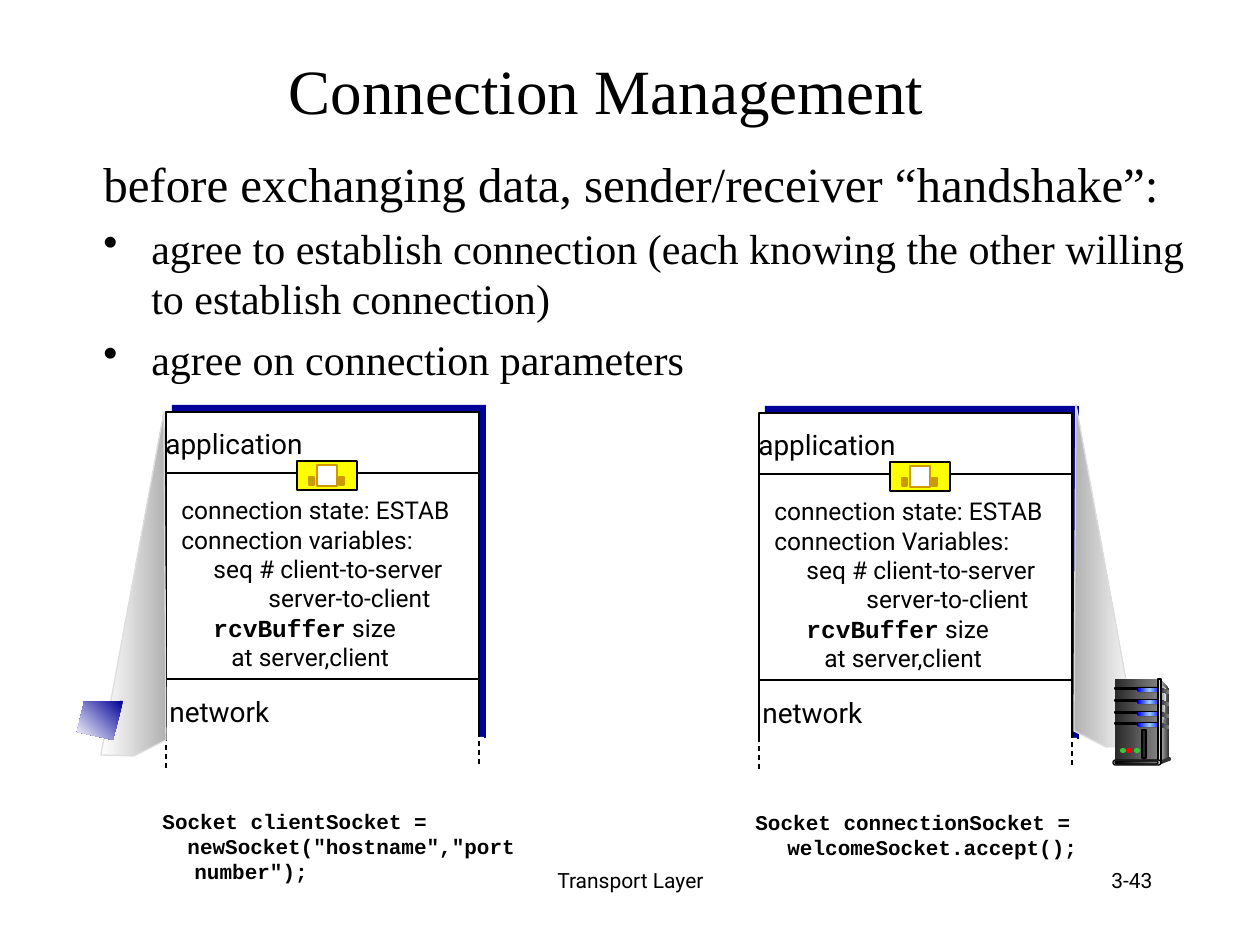
from pptx import Presentation
from pptx.dml.color import RGBColor
from pptx.enum.dml import MSO_LINE
from pptx.enum.shapes import MSO_CONNECTOR, MSO_SHAPE
from pptx.enum.text import MSO_ANCHOR, MSO_AUTO_SIZE, PP_ALIGN
from pptx.oxml import parse_xml
from pptx.oxml.ns import nsdecls, qn
from pptx.util import Pt
from lxml.etree import SubElement

SCALE = 914400 / 126
THEME = {
    "black": "000000", "white": "FFFFFF", "navy": "000099", "yellow": "FFFF00",
    "gold": "CC9900", "edge": "DDDDDD", "dark": "333333", "slot": "292929",
    "green": "33CC33", "red": "FF0000",
    "beam_left": (0, "FFFFFF", "B2B2B2"), "beam_right": (0, "B2B2B2", "FFFFFF"),
    "client": (135, "000099", "FFFFFF"), "side": (0, "DDDDDD", "333333"),
    "metal": (0, "292929", "808080"), "shine": (0, "808080", "F8F8F8"),
    "light": (0, "0000FF", "99CCFF", "0000FF"),
    "pillar": (0, "333333", "DDDDDD", "333333"), "base": (0, "000000", "808080"),
    "serif": "Times New Roman", "sans": "Roboto", "mono": "Courier New",
    "title": 36, "lead": 28, "bullet": 24, "layer": 16, "state": 14, "small": 12,
}
RECT, ROUND, OVAL = MSO_SHAPE.RECTANGLE, MSO_SHAPE.ROUNDED_RECTANGLE, MSO_SHAPE.OVAL

TITLE = "Connection Management"
LEAD = "before exchanging data, sender/receiver “handshake”:"
BULLETS = [
    "agree to establish connection (each knowing the other willing to establish connection)",
    "agree on connection parameters",
]
HOSTS = [
    {"origin": (166, 412), "variables": "connection variables:", "reply_margin": 87,
     "beam": [(101, 755), (164, 412), (166, 740), (134, 756)], "beam_fill": "beam_left",
     "code": [("Socket clientSocket =", 32, -32),
              ('newSocket("hostname","port number");', 32, -7)]},
    {"origin": (759, 413), "variables": "connection Variables:", "reply_margin": 92,
     "beam": [(1138, 746), (1076, 404), (1074, 731), (1106, 747)], "beam_fill": "beam_right",
     "code": [("Socket connectionSocket = welcomeSocket.accept();", 32, -32)]},
]
SOCKET_PARTS = [
    ((131, 49, 60, 29), "yellow", "black"), ((151, 53, 20, 21), "white", "gold"),
    ((173, 65, 5, 8), "gold", "gold"), ((143, 65, 5, 8), "gold", "gold"),
]
CLIENT = [(123, 701), (84, 702), (77, 732), (113, 740)]
SERVER_SIDE = [(1160, 679), (1169, 689), (1169, 757), (1158, 761)]
SERVER_SHINE = [(1160, 684), (1167, 690), (1163, 720), (1160, 758)]
SERVER_FOOT = [(1159, 761), (1159, 765), (1169, 761), (1169, 757)]
SERVER_BAYS = [687, 699, 711, 722]
SERVER_DETAILS = [
    (RECT, (1158, 679, 3, 82), "pillar", "black"), (OVAL, (1168, 757, 3, 4), "dark", None),
    (ROUND, (1113, 760, 48, 5), "edge", "black"), (ROUND, (1115, 761, 43, 3), "base", "black"),
    (OVAL, (1120, 748, 6, 5), "green", None), (OVAL, (1126, 748, 6, 5), "red", None),
    (OVAL, (1134, 748, 6, 5), "green", None), (RECT, (1142, 730, 4, 28), "slot", "black"),
]


def emu(*lengths):
    return [round(length * SCALE) for length in lengths]


def color(name):
    return RGBColor.from_string(THEME[name])


def paint(shape, fill, line=None):
    shape.shadow.inherit = False
    if isinstance(THEME[fill], tuple):
        angle, *stops = THEME[fill]
        shape.fill.gradient()
        shape.fill.gradient_angle = -angle % 360
        stop_list = shape.element.spPr.find(qn("a:gradFill")).find(qn("a:gsLst"))
        for stop in list(stop_list):
            stop_list.remove(stop)
        for index, value in enumerate(stops):
            position = index * 100000 // (len(stops) - 1)
            stop_list.append(parse_xml(
                f'<a:gs {nsdecls("a")} pos="{position}"><a:srgbClr val="{value}"/></a:gs>'))
    else:
        shape.fill.solid()
        shape.fill.fore_color.rgb = color(fill)
    if line:
        shape.line.color.rgb = color(line)
        shape.line.width = Pt(0.75)
    else:
        shape.line.fill.background()


def add_part(shapes, kind, frame, fill, line=None):
    shape = shapes.add_shape(kind, *emu(*frame))
    if kind == ROUND:
        shape.adjustments[0] = 0.5
    paint(shape, fill, line)


def add_outline(shapes, points, fill, line=None):
    builder = shapes.build_freeform(*points[0], scale=SCALE)
    builder.add_line_segments(points[1:], close=True)
    paint(builder.convert_to_shape(), fill, line)


def add_rule(shapes, start, end, dashed=False):
    rule = shapes.add_connector(MSO_CONNECTOR.STRAIGHT, *emu(*start, *end))
    rule.line.color.rgb = color("black")
    rule.line.width = Pt(0.75)
    if dashed:
        rule.line.dash_style = MSO_LINE.DASH
    SubElement(rule.element.spPr, qn("a:effectLst"))


def add_span(para, text, font, size, bold=False):
    span = para.add_run()
    span.text = text
    span.font.name = THEME[font]
    span.font.size = Pt(THEME[size])
    span.font.bold = bold
    span.font.color.rgb = color("black")


def indent(para, margin, first=0):
    properties = para._p.get_or_add_pPr()
    for name, length in zip(("marL", "indent"), emu(margin, first)):
        properties.set(name, str(length))


def add_text(shapes, frame, paragraphs, align=PP_ALIGN.LEFT):
    box = shapes.add_textbox(*emu(*frame)).text_frame
    box.word_wrap = True
    paras = []
    for index, (margin, first, spans) in enumerate(paragraphs):
        para = box.add_paragraph() if index else box.paragraphs[0]
        para.alignment = align
        indent(para, margin, first)
        for span in spans:
            add_span(para, *span)
        paras.append(para)
    return paras


def add_host(shapes, host):
    x, y = host["origin"]
    add_part(shapes, RECT, (x + 6, y - 7, 314, 333), "navy")
    add_part(shapes, RECT, (x, y, 313, 340), "white", "black")
    for offset in (61, 267):
        add_rule(shapes, (x, y + offset), (x + 313, y + offset))
    state = [
        (0, "connection state: ESTAB"), (0, host["variables"]),
        (32, "seq # client-to-server"), (host["reply_margin"], "server-to-client"),
    ]
    paragraphs = [(margin, 0, [(text, "sans", "state")]) for margin, text in state]
    paragraphs.append((32, 0, [("rcvBuffer", "mono", "state", True), (" size", "sans", "state")]))
    paragraphs.append((50, 0, [("at server,client", "sans", "state")]))
    add_text(shapes, (x + 3, y + 77, 321, 219), paragraphs)
    socket = shapes.add_group_shape().shapes
    for (left, top, width, height), fill, line in SOCKET_PARTS:
        add_part(socket, RECT, (x + left, y + top, width, height), fill, line)
    for name, left, top in (("application", -13, 8), ("network", -9, 276)):
        add_text(shapes, (x + left, y + top, 170, 47), [(0, 0, [(name, "sans", "layer")])])
    add_part(shapes, RECT, (x - 3, y + 325, 321, 25), "white")
    for left, top in ((0, 324), (313, 320)):
        add_rule(shapes, (x + left, y + top), (x + left, y + top + 33), dashed=True)
    add_outline(shapes, host["beam"], host["beam_fill"], "edge")
    add_text(shapes, (x - 16, y + 390, 398, 88),
             [(margin, first, [(text, "mono", "small", True)])
              for text, margin, first in host["code"]])


def add_server(shapes):
    add_outline(shapes, SERVER_SIDE, "side")
    add_part(shapes, RECT, (1115, 679, 43, 82), "metal")
    add_outline(shapes, SERVER_SHINE, "shine")
    for top in SERVER_BAYS:
        add_part(shapes, RECT, (1115, top + 1, 24, 1), "black", "black")
        add_part(shapes, ROUND, (1137, top, 24, 5), "black")
        add_part(shapes, ROUND, (1138, top + 1, 23, 4), "light")
        add_outline(shapes, [(1159, top), (1169, top + 4), (1169, top + 7), (1159, top + 4)], "metal")
    add_outline(shapes, SERVER_FOOT, "dark")
    for part in SERVER_DETAILS:
        add_part(shapes, *part)


def main():
    deck = Presentation()
    deck.slide_width, deck.slide_height = emu(1260, 945)
    page = deck.slides.add_slide(deck.slide_layouts[5])
    shapes = page.shapes
    title = shapes.title
    title.left, title.top, title.width, title.height = emu(71, 26, 1071, 126)
    title.text_frame.auto_size = MSO_AUTO_SIZE.NONE
    title.text_frame.vertical_anchor = MSO_ANCHOR.MIDDLE
    heading = title.text_frame.paragraphs[0]
    heading.alignment = PP_ALIGN.CENTER
    add_span(heading, TITLE, "serif", "title")

    content = [(LEAD, "lead")] + [(text, "bullet") for text in BULLETS]
    paras = add_text(shapes, (91, 147, 1149, 301),
                     [(48, -48, [(text, "serif", size)]) for text, size in content])
    for para, space in zip(paras, (7, 6, 6)):
        para.space_before = Pt(space)
    for para in paras[1:]:
        SubElement(para._p.get_or_add_pPr(), qn("a:buChar")).set("char", "•")

    for host in HOSTS:
        add_host(shapes, host)
    add_outline(shapes, CLIENT, "client")
    add_server(shapes.add_group_shape().shapes)
    for text, frame, align in (("Transport Layer", (431, 861, 399, 63), PP_ALIGN.CENTER),
                               ("3-43", (903, 861, 262, 63), PP_ALIGN.RIGHT)):
        add_text(shapes, frame, [(0, 0, [(text, "sans", "small")])], align)
    deck.save("out.pptx")


if __name__ == "__main__":
    main()
